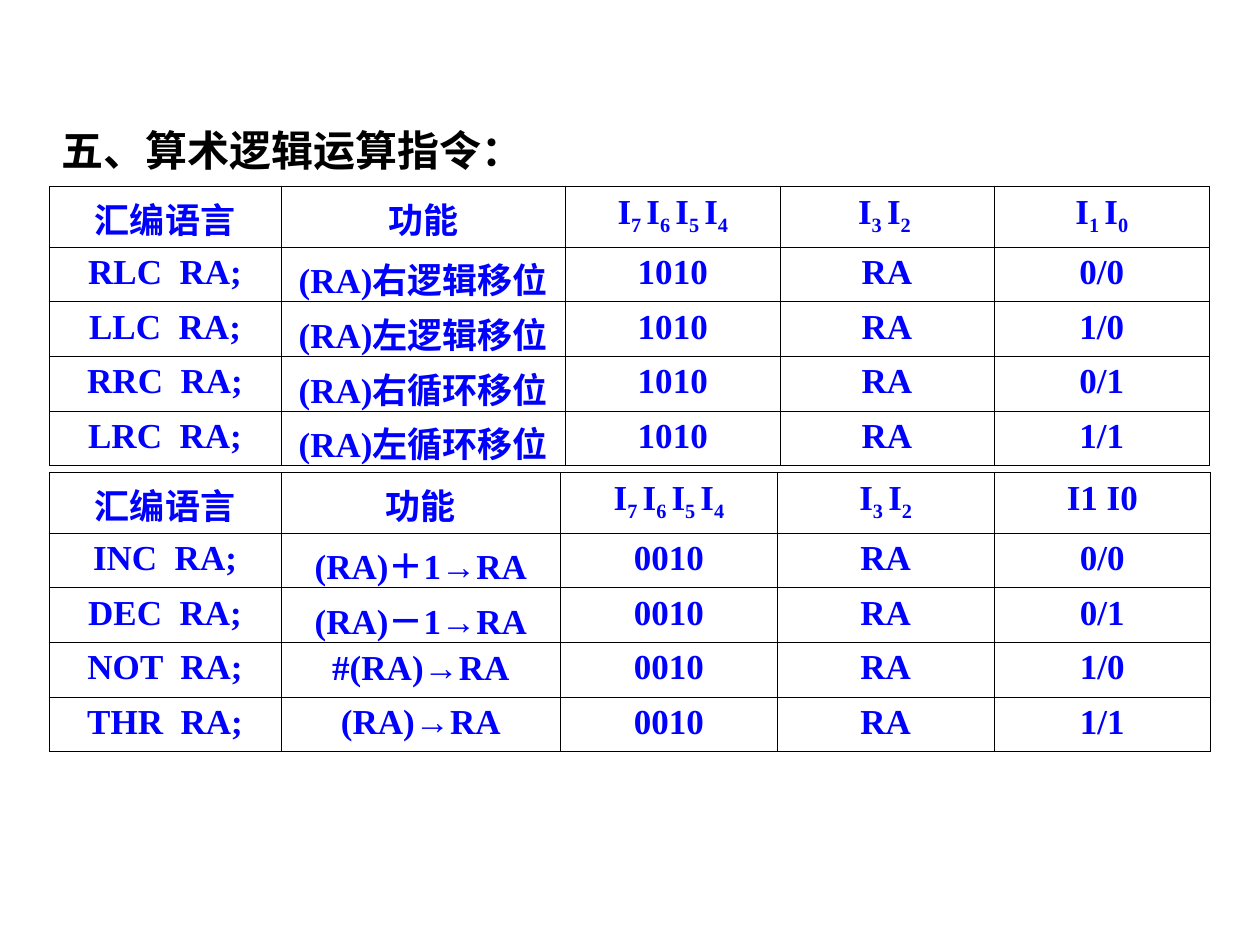
from dataclasses import dataclass
from itertools import groupby

from lxml import etree
from pptx import Presentation
from pptx import util as u
from pptx.dml.color import RGBColor
from pptx.enum import text as t
from pptx.oxml import ns

COLORS = {"title": "000000", "cell": "0000FF", "border": "000000"}
FONT, ARROW_FONT = "Times New Roman", "Arial"
ARROW = "→"
LEFT = 0.39


@dataclass
class InstructionTable:
    top: float
    widths: list[float]
    heights: list[float]
    subscript_columns: tuple[int, ...]
    header: list[str]
    opcode: str
    rows: list[tuple[str, str, str]]  # assembly, function, low bits

    def grid(self) -> list[list[str]]:
        body = [[name, function, self.opcode, "RA", bits]
                for name, function, bits in self.rows]
        return [self.header, *body]


TABLES = [
    InstructionTable(
        1.48, [1.84, 2.26, 1.7, 1.7, 1.71], [0.39, 0.39, 0.36, 0.36, 0.36], (2, 3, 4),
        ["汇编语言", "功能", "I7 I6 I5 I4", "I3 I2 ", "I1 I0"], "1010",
        [("RLC  RA;", "(RA)右逻辑移位", "0/0"),
         ("LLC  RA;", "(RA)左逻辑移位", "1/0"),
         ("RRC  RA;", "(RA)右循环移位", "0/1"),
         ("LRC  RA;", "(RA)左循环移位", "1/1")]),
    InstructionTable(
        3.75, [1.84, 2.22, 1.72, 1.72, 1.72], [0.39] * 5, (2, 3),
        ["汇编语言", "功能", "I7 I6 I5 I4", "I3 I2", "I1 I0"], "0010",
        [("INC  RA;", "(RA)＋1→RA", "0/0"),
         ("DEC  RA;", "(RA)－1→RA", "0/1"),
         ("NOT  RA;", "#(RA)→RA", "1/0"),
         ("THR  RA;", "(RA)→RA", "1/1")]),
]


def write(para, content: str, *, size: int, color: str,
          align=t.PP_ALIGN.LEFT, subscript: bool = False) -> None:
    """Write bold text; arrows get their own font, bit numbers can be lowered."""
    para.alignment = align

    def style(char: str) -> tuple[bool, bool]:
        return char == ARROW, subscript and char != "I"

    for (is_arrow, lowered), chars in groupby(content, style):
        span = para.add_run()
        span.text = "".join(chars)
        span.font.name = ARROW_FONT if is_arrow else FONT
        span.font.size = u.Pt(size)
        span.font.bold = True
        span.font.color.rgb = RGBColor.from_string(COLORS[color])
        if lowered:
            span.font._element.set("baseline", "-25000")


def add_borders(cell) -> None:
    properties = cell._tc.get_or_add_tcPr()
    for index, side in enumerate(("lnL", "lnR", "lnT", "lnB")):
        line = etree.Element(ns.qn(f"a:{side}"), w=str(u.Pt(0.45)))
        fill = etree.SubElement(line, ns.qn("a:solidFill"))
        etree.SubElement(fill, ns.qn("a:srgbClr"), val=COLORS["border"])
        properties.insert(index, line)


def add_instruction_table(page, data: InstructionTable) -> None:
    grid = data.grid()
    table = page.shapes.add_table(
        len(grid), len(data.widths), u.Inches(LEFT), u.Inches(data.top),
        u.Inches(sum(data.widths)), u.Inches(sum(data.heights))).table
    table.first_row = table.horz_banding = False
    for column, width in zip(table.columns, data.widths):
        column.width = u.Inches(width)
    for row, height in zip(table.rows, data.heights):
        row.height = u.Inches(height)
    for r, values in enumerate(grid):
        for c, value in enumerate(values):
            cell = table.cell(r, c)
            cell.margin_left = cell.margin_right = u.Inches(0.08)
            cell.margin_top = cell.margin_bottom = u.Inches(0.05)
            cell.fill.background()
            add_borders(cell)
            write(cell.text_frame.paragraphs[0], value, size=20, color="cell",
                  align=t.PP_ALIGN.CENTER,
                  subscript=r == 0 and c in data.subscript_columns)


def main() -> None:
    deck = Presentation()
    deck.slide_width, deck.slide_height = u.Inches(10), u.Inches(7.5)
    page = deck.slides.add_slide(deck.slide_layouts[6])

    # Title
    box = page.shapes.add_textbox(
        u.Inches(LEFT), u.Inches(0.94), u.Inches(7.73), u.Inches(0.5))
    box.text_frame.word_wrap = True
    write(box.text_frame.paragraphs[0], "五、算术逻辑运算指令：", size=24, color="title")

    # Shift instructions, then arithmetic and logic instructions
    for data in TABLES:
        add_instruction_table(page, data)

    deck.save("out.pptx")


if __name__ == "__main__":
    main()
